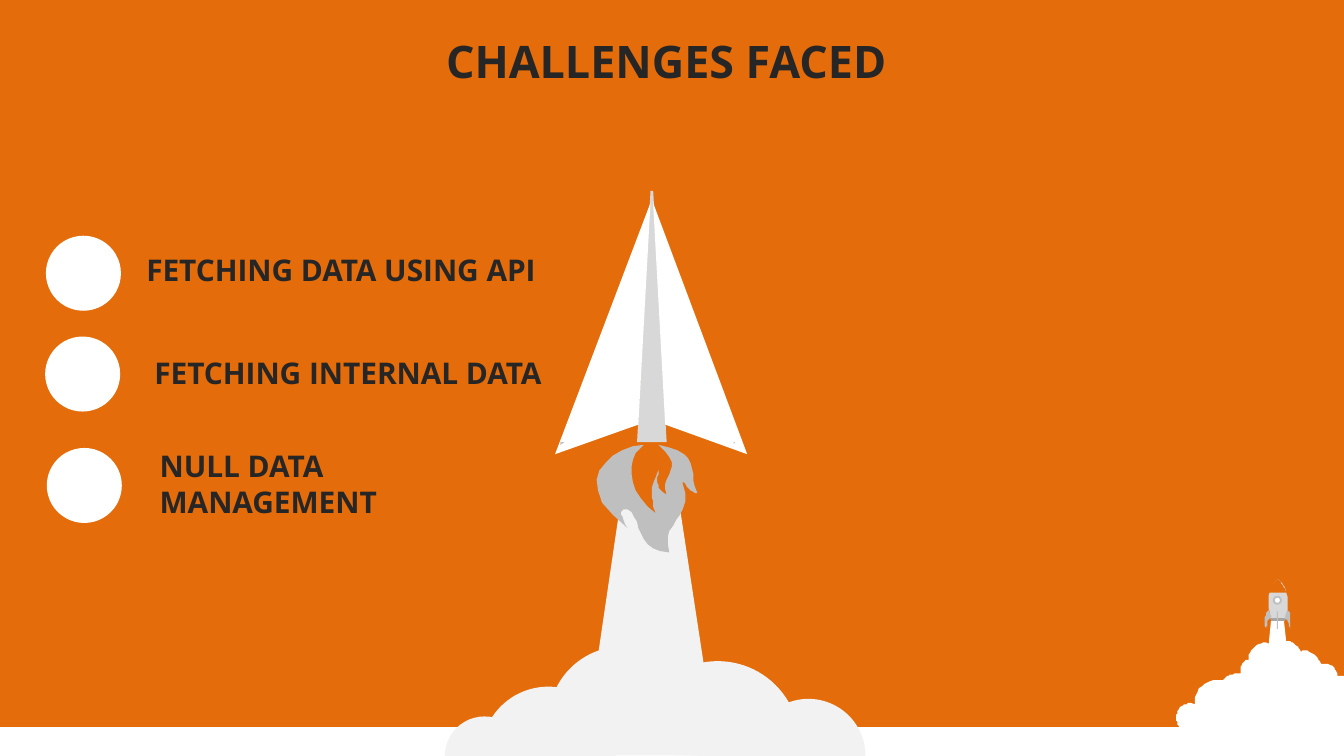
from pptx import Presentation
from pptx.dml.color import RGBColor
from pptx.enum.shapes import MSO_SHAPE
from pptx.enum.text import MSO_ANCHOR, PP_ALIGN
from pptx.util import Pt

WIDTH, HEIGHT = 720, 405
ORANGE, WHITE, INK = "E46C0A", "FFFFFF", "262626"
SMOKE, SILVER, GREY, DARK_GREY = "F2F2F2", "D8D8D8", "BFBFBF", "A5A5A5"
OUTLINE_UNIT = 0.72  # points per unit in the outlines below
CURVE_STEPS = 10

TITLE = "CHALLENGES FACED"
# text, left, top, width, then left and top of its bullet circle
CHALLENGES = [
    ("FETCHING DATA USING API", 71.3, 121.5, 263.5, 24.6, 126.3),
    ("FETCHING INTERNAL DATA", 75.6, 176.4, 229, 24.2, 180.3),
    ("NULL DATA MANAGEMENT", 78.5, 236.2, 198.7, 25.1, 240),
]
LABEL_HEIGHT, CIRCLE = 46.1, 40.2

# Outlines: M moves, L draws a line, C draws a cubic curve
# The foot of the small cloud is flat, as it merges with the white ground
SMALL_CLOUD = """M 946 459 L 955 459 L 957 477 L 959 477 C 962 478 965 480 967 483
    L 968 485 L 969 484 C 975 484 981 488 983 494 L 986 494
    C 990 494 994 497 995 502 L 995 503 L 1000 503 L 1000 561 L 893 561
    L 893 545 L 886 545 C 880 545 875 540 875 534
    C 875 528 880 523 886 523 L 889 524 L 889 522
    C 889 513 896 506 906 506 L 910 506 L 911 505
    C 914 502 918 501 923 501 L 923 498
    C 923 495 925 492 928 491 L 929 491 L 929 489 C 930 483 936 478 942 478
    L 944 479 L 946 459"""
ROCKET = [
    ("M 946 462 C 944 453 940 440 951 431 C 962 441 958 454 956 462 L 946 462", SILVER),
    ("M 946 460 L 956 460 L 956 462 L 946 462", DARK_GREY),
    ("M 951 431 C 954 434 956 437 957 441 L 944 441 L 944 440 C 945 437 947 434 951 431",
     ORANGE),
]
ROCKET_FINS = [
    ("M 944 454 L 946 459 C 942 461 943 466 942 468 C 941 465 940 457 944 454", GREY),
    ("M 958 454 L 956 459 C 959 461 959 466 960 468 C 960 465 962 457 958 454", GREY),
]
SMOKE_TRAIL = "M 434 562 L 462 372 C 468 372 483 388 489 388 L 505 372 L 534 562 L 434 562"
FLAME = """M 479 331 C 467 338 464 365 488 382 C 482 366 486 358 490 350
    C 490 354 486 363 496 368 C 491 353 511 348 490 331 C 521 336 512 351 519 367
    C 514 368 506 354 508 360 C 517 387 490 388 498 411 C 471 410 479 385 467 379
    C 463 378 459 381 467 393 C 422 360 453 333 479 331
    M 546 329 L 547 329 L 546 330 M 417 329 L 420 329 L 417 331"""
PAPER_PLANE = [
    ("M 484 142 L 474 329 L 496 329 C 493 271 489 200 486 142 L 484 142", SILVER),
    ("M 486 151 L 556 338 L 495 316 L 486 151", WHITE),
    ("M 484 151 L 413 338 L 475 316 L 484 151", WHITE),
    (FLAME, GREY),
]
# left, top, diameter, start angle, end angle
SMOKE_PUFFS = [
    (257.8, 367.9, 72, 176.89, 2.35),
    (340.6, 354.2, 87.8, 172.37, 10.93),
    (293.8, 346.3, 79.9, 176.89, 2.35),
    (402.5, 374.4, 61.2, 176.89, 2.35),
    (238.3, 383.8, 42.5, 176.89, 2.35),
]


def color(hex_text):
    return RGBColor.from_string(hex_text)


def paint(shape, fill, line=None):
    shape.shadow.inherit = False
    shape.fill.solid()
    shape.fill.fore_color.rgb = color(fill)
    if line:
        shape.line.color.rgb = color(line)
        shape.line.width = Pt(1)
    else:
        shape.line.fill.background()


def add_preset(slide, kind, left, top, width, height, fill, line=None):
    shape = slide.shapes.add_shape(kind, Pt(left), Pt(top), Pt(width), Pt(height))
    paint(shape, fill, line)
    return shape


def curve_points(points):
    """Return points along the cubic curve that four control points give."""
    curve = []
    for step in range(1, CURVE_STEPS + 1):
        t = step / CURVE_STEPS
        weights = ((1 - t) ** 3, 3 * t * (1 - t) ** 2, 3 * t * t * (1 - t), t ** 3)
        curve.append(tuple(sum(w * p[axis] for w, p in zip(weights, points))
                           for axis in (0, 1)))
    return curve


def contours(outline):
    """Turn an outline text into one list of points for each closed contour."""
    result = []
    tokens = iter(outline.split())
    for command in tokens:
        count = 3 if command == "C" else 1
        points = [(float(next(tokens)), float(next(tokens))) for _ in range(count)]
        if command == "M":
            result.append(points)
        elif command == "C":
            result[-1] += curve_points([result[-1][-1]] + points)
        else:
            result[-1] += points
    return result


def add_outline(slide, outline, fill):
    first, *others = contours(outline)
    builder = slide.shapes.build_freeform(*first[0], scale=Pt(OUTLINE_UNIT))
    builder.add_line_segments(first[1:], close=True)
    for contour in others:
        builder.move_to(*contour[0])
        builder.add_line_segments(contour[1:], close=True)
    paint(builder.convert_to_shape(), fill)


def write(box, text, size, align=PP_ALIGN.LEFT, right_inset=7.2):
    frame = box.text_frame
    frame.word_wrap = True
    frame.vertical_anchor = MSO_ANCHOR.MIDDLE
    frame.margin_left, frame.margin_right = Pt(7.2), Pt(right_inset)
    frame.margin_top = frame.margin_bottom = Pt(3.6)
    para = frame.paragraphs[0]
    para.alignment = align
    span = para.add_run()
    span.text = text
    span.font.name, span.font.size, span.font.bold = "Open Sans", Pt(size), True
    span.font.color.rgb = color(INK)


def main():
    deck = Presentation()
    deck.slide_width, deck.slide_height = Pt(WIDTH), Pt(HEIGHT)
    slide = deck.slides.add_slide(deck.slide_layouts[5])
    slide.background.fill.solid()
    slide.background.fill.fore_color.rgb = color(ORANGE)

    add_preset(slide, MSO_SHAPE.RECTANGLE, 0, 389.5, WIDTH, HEIGHT - 389.5, WHITE)
    add_outline(slide, SMALL_CLOUD, WHITE)
    for outline, fill in ROCKET:
        add_outline(slide, outline, fill)
    add_preset(slide, MSO_SHAPE.OVAL, 682.4, 319.7, 3.8, 3.8, WHITE, line=GREY)
    add_preset(slide, MSO_SHAPE.RECTANGLE, 684.1, 327.6, 0.5, 9.4, GREY)
    for outline, fill in ROCKET_FINS:
        add_outline(slide, outline, fill)

    add_outline(slide, SMOKE_TRAIL, SMOKE)
    for left, top, size, start, end in SMOKE_PUFFS:
        puff = add_preset(slide, MSO_SHAPE.CHORD, left, top, size, size, SMOKE)
        # python-pptx counts 100000ths, the preset counts 60000ths of a degree
        puff.adjustments[0], puff.adjustments[1] = start * 0.6, end * 0.6

    title = slide.shapes.title
    title.left, title.top, title.width, title.height = Pt(0), Pt(10), Pt(WIDTH), Pt(45.4)
    write(title, TITLE, 24, align=PP_ALIGN.CENTER, right_inset=13.5)

    for outline, fill in PAPER_PLANE:
        add_outline(slide, outline, fill)
    for text, left, top, width, circle_left, circle_top in CHALLENGES:
        box = slide.shapes.add_textbox(Pt(left), Pt(top), Pt(width), Pt(LABEL_HEIGHT))
        write(box, text, 16)
        add_preset(slide, MSO_SHAPE.OVAL, circle_left, circle_top, CIRCLE, CIRCLE, WHITE)

    deck.save("out.pptx")


if __name__ == "__main__":
    main()
